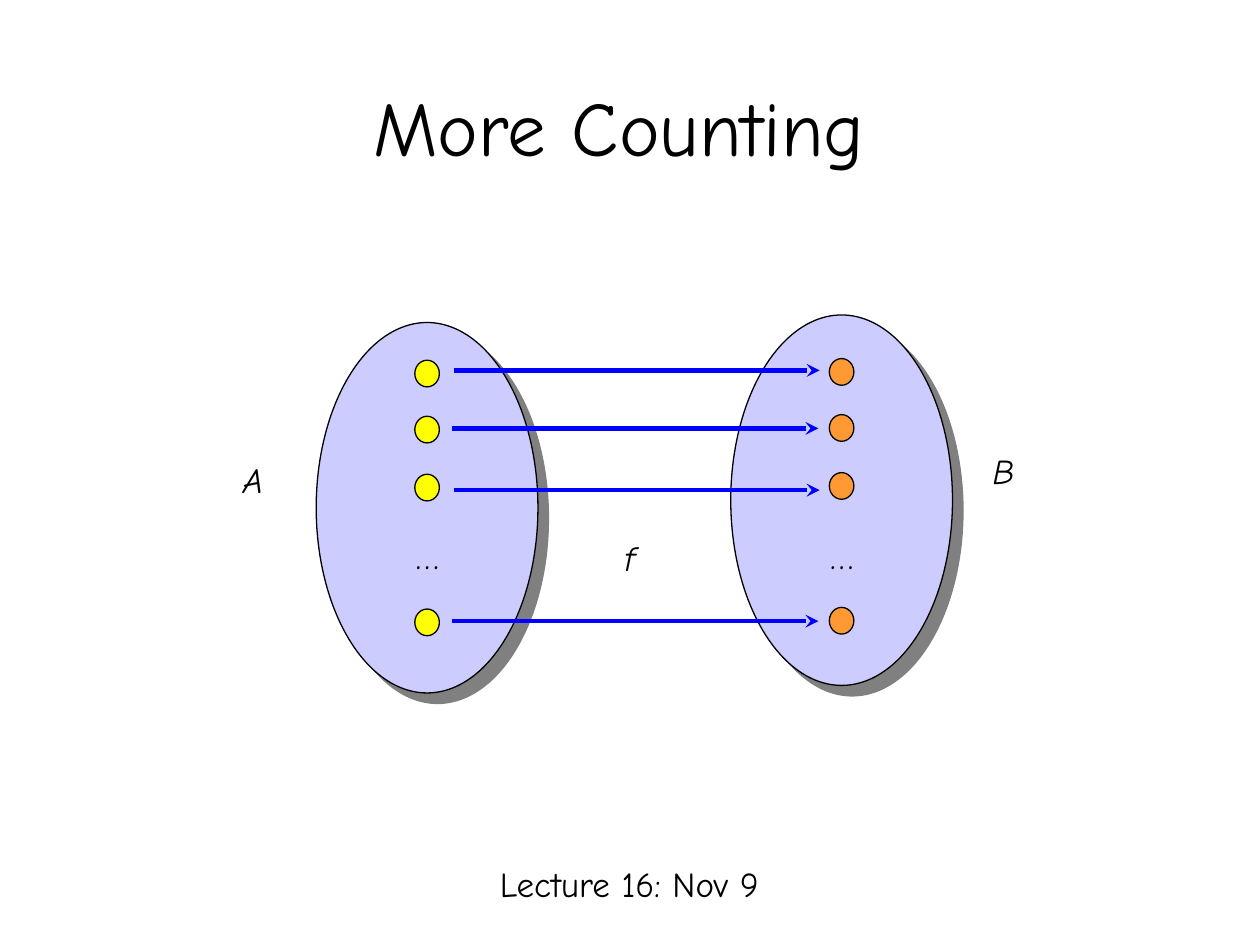
import dataclasses
import lxml.etree
import pptx
import pptx.dml.color
import pptx.enum.shapes
import pptx.enum.text
import pptx.oxml.ns
import pptx.util

Align = pptx.enum.text.PP_ALIGN
Anchor = pptx.enum.text.MSO_ANCHOR
Fit = pptx.enum.text.MSO_AUTO_SIZE
qn = pptx.oxml.ns.qn


@dataclasses.dataclass(frozen=True)
class Theme:
    font: str = "Comic Neue"
    ink: str = "000000"
    back: str = "FFFFFF"
    oval: str = "CCCCFF"
    shade: str = "808080"
    left: str = "FFFF00"
    right: str = "FF9933"
    arrow: str = "0000FF"
    title: int = 44
    body: int = 20
    edge: float = 0.75
    stroke: float = 2.5
    drop: float = 8.5


def rgb(code):
    return pptx.dml.color.RGBColor.from_string(code)


def write(frame, text, *, font, size, color, italic=None, align=Align.LEFT,
          anchor=Anchor.TOP, wrap=True, fit=Fit.NONE, space=None, before=None):
    frame.word_wrap = wrap
    frame.auto_size = fit
    frame.vertical_anchor = anchor
    para = frame.paragraphs[0]
    para.alignment = align
    para.line_spacing = space
    para.space_before = before
    run = para.add_run()
    run.text = text
    run.font.name = font
    run.font.size = pptx.util.Pt(size)
    run.font.italic = italic
    run.font.color.rgb = rgb(color)


class Deck:
    """Draw on one slide with a theme and a grid of 100 columns by 75 rows."""

    def __init__(self, theme):
        self.theme = theme
        self.file = pptx.Presentation()
        self.file.slide_width = pptx.util.Inches(10)
        self.file.slide_height = pptx.util.Inches(7.5)
        self.col = self.file.slide_width / 100
        self.row = self.file.slide_height / 75
        self.slide = self.file.slides.add_slide(self.file.slide_layouts[5])
        self.slide.background.fill.solid()
        self.slide.background.fill.fore_color.rgb = rgb(theme.back)

    def place(self, *box):
        return [round(part * unit) for part, unit in zip(box, (self.col, self.row) * 2)]

    def style(self, **extra):
        base = dict(font=self.theme.font, size=self.theme.body, color=self.theme.ink)
        return base | extra

    def title(self, text, *box):
        shape = self.slide.shapes.title
        shape.left, shape.top, shape.width, shape.height = self.place(*box)
        write(shape.text_frame, text, **self.style(
            size=self.theme.title, align=Align.CENTER, anchor=Anchor.MIDDLE))

    def text(self, text, *box, **extra):
        shape = self.slide.shapes.add_textbox(*self.place(*box))
        write(shape.text_frame, text, **self.style(**extra))

    def label(self, text, *box, **extra):
        self.text(text, *box, wrap=False, fit=Fit.SHAPE_TO_FIT_TEXT, **extra)

    def oval(self, fill, *box):
        kind = pptx.enum.shapes.MSO_SHAPE.OVAL
        shape = self.slide.shapes.add_shape(kind, *self.place(*box))
        shape.fill.solid()
        shape.fill.fore_color.rgb = rgb(fill)
        shape.line.color.rgb = rgb(self.theme.ink)
        shape.line.width = pptx.util.Pt(self.theme.edge)
        shape.shadow.inherit = False
        return shape

    def region(self, *box):
        shape = self.oval(self.theme.oval, *box)
        effect = shape._element.spPr.find(qn("a:effectLst"))
        drop = lxml.etree.SubElement(
            effect, qn("a:outerShdw"), blurRad="0", dir=str(45 * 60000),
            dist=str(pptx.util.Pt(self.theme.drop)), algn="ctr", rotWithShape="0")
        lxml.etree.SubElement(drop, qn("a:srgbClr"), val=self.theme.shade)

    def arrow(self, start, end, row):
        kind = pptx.enum.shapes.MSO_CONNECTOR.STRAIGHT
        line = self.slide.shapes.add_connector(kind, *self.place(start, row, end, row))
        line.line.color.rgb = rgb(self.theme.arrow)
        line.line.width = pptx.util.Pt(self.theme.stroke)
        props = line._element.spPr
        lxml.etree.SubElement(props.find(qn("a:ln")), qn("a:tailEnd"), type="stealth")
        lxml.etree.SubElement(props, qn("a:effectLst"))

    def save(self):
        self.file.save("out.pptx")


def main():
    theme = Theme()
    deck = Deck(theme)
    deck.title("More Counting", 2.5, 5, 93.3, 10)
    deck.text("Lecture 16: Nov 9", 33.3, 68.3, 33.3, 4.2, align=Align.CENTER,
              space=0.9, before=pptx.util.Pt(4))

    sets = [(33.9, 25.6, theme.left, 0), (66.8, 25, theme.right, -0.13)]
    for mid, top, _, _ in sets:
        deck.region(mid - 8.8, top, 17.6, 29.4)
    deck.label("A", 18.3, 35.9, 4, 4.3, italic=True)
    deck.label("B", 77.8, 35.2, 3.8, 4.3, italic=True)

    for mid, _, fill, shift in sets:
        for row in (29.65, 34.1, 38.7, 49.4):
            deck.oval(fill, mid - 0.98, row + shift - 1.06, 1.95, 2.12)
        deck.label("…", mid - 1.95, 41.9, 3.9, 4.3, align=Align.CENTER)

    for start, row in ((36, 29.4), (35.9, 34), (36, 38.9), (35.9, 49.3)):
        deck.arrow(start, start + 29.05, row)
    deck.label("f", 48.6, 42.1, 3.4, 4.3, italic=True)
    deck.save()


if __name__ == "__main__":
    main()
